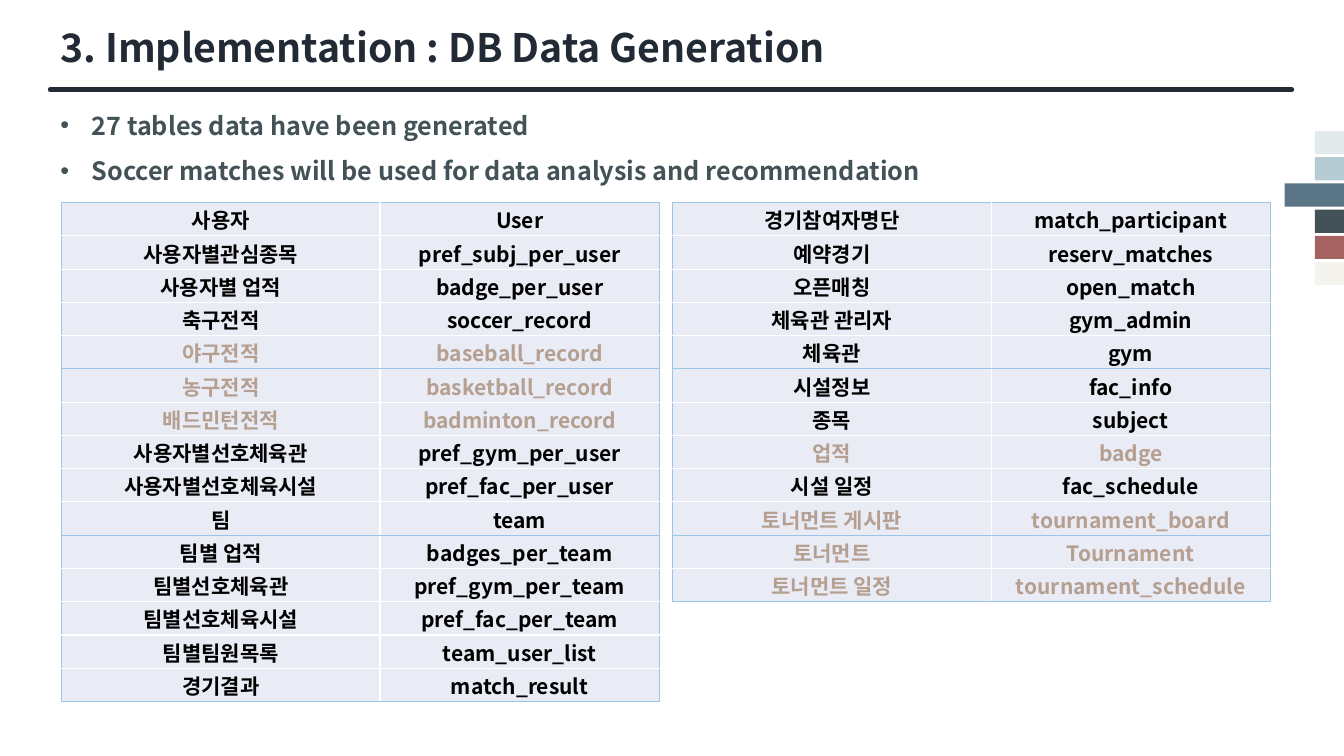
from dataclasses import dataclass

from lxml import etree
from pptx import Presentation
from pptx.dml.color import RGBColor
from pptx.enum.shapes import MSO_CONNECTOR, MSO_SHAPE
from pptx.enum.text import MSO_ANCHOR, MSO_AUTO_SIZE, PP_ALIGN
from pptx.oxml.ns import qn
from pptx.util import Inches, Pt

LEFT, CENTER = PP_ALIGN.LEFT, PP_ALIGN.CENTER
MIDDLE = MSO_ANCHOR.MIDDLE
RECTANGLE = MSO_SHAPE.RECTANGLE
STRAIGHT = MSO_CONNECTOR.STRAIGHT
GROW, FIXED = MSO_AUTO_SIZE.SHAPE_TO_FIT_TEXT, MSO_AUTO_SIZE.NONE

# Content
TITLE = "3. Implementation : DB Data Generation"
BULLETS = [
    "27 tables data have been generated",
    "Soccer matches will be used for data analysis and recommendation",
]
LEFT_ROWS = [
    ("사용자", "User"),
    ("사용자별관심종목", "pref_subj_per_user"),
    ("사용자별 업적", "badge_per_user"),
    ("축구전적", "soccer_record"),
    ("야구전적", "baseball_record"),
    ("농구전적", "basketball_record"),
    ("배드민턴전적", "badminton_record"),
    ("사용자별선호체육관", "pref_gym_per_user"),
    ("사용자별선호체육시설", "pref_fac_per_user"),
    ("팀", "team"),
    ("팀별 업적", "badges_per_team"),
    ("팀별선호체육관", "pref_gym_per_team"),
    ("팀별선호체육시설", "pref_fac_per_team"),
    ("팀별팀원목록", "team_user_list"),
    ("경기결과", "match_result"),
]
RIGHT_ROWS = [
    ("경기참여자명단", "match_participant"),
    ("예약경기", "reserv_matches"),
    ("오픈매칭", "open_match"),
    ("체육관 관리자", "gym_admin"),
    ("체육관", "gym"),
    ("시설정보", "fac_info"),
    ("종목", "subject"),
    ("업적", "badge"),
    ("시설 일정", "fac_schedule"),
    ("토너먼트 게시판", "tournament_board"),
    ("토너먼트", "Tournament"),
    ("토너먼트 일정", "tournament_schedule"),
]
UNUSED_TABLES = {
    "baseball_record", "basketball_record", "badminton_record", "badge",
    "tournament_board", "Tournament", "tournament_schedule",
}
SWATCHES = ["E3EAEB", "B6CCD4", "5A7585", "435256", "A46360", "F5F3EE"]
CURRENT_SWATCH = 2


@dataclass(frozen=True)
class Theme:
    font: str = "Noto Sans CJK KR"
    title: str = "222A35"
    bullet: str = "435256"
    used: str = "000000"
    unused: str = "B59F90"
    cell: str = "E9EBF5"
    frame: str = "9DC3E6"
    grid: str = "FFFFFF"
    title_size: float = 28
    bullet_size: float = 18
    cell_size: float = 15
    rule_width: float = 3.75
    border_width: float = 1


THEME = Theme()

# Layout, in inches
SLIDE_WIDTH, SLIDE_HEIGHT = 13.33, 7.5
TABLE_LEFTS, TABLE_TOP = (0.61, 6.67), 2.01
COLUMN_WIDTHS, ROW_HEIGHT = (3.16, 2.77), 0.33
ROWS_PER_BLOCK = 5
SWATCH_TOP, SWATCH_PITCH, SWATCH_HEIGHT = 1.3, 0.26, 0.23
SWATCH_WIDTH, CURRENT_WIDTH = 0.29, 0.59
BULLET_INDENT = 0.31


def style_paragraph(paragraph, size, color, alignment=LEFT):
    paragraph.alignment = alignment
    font = paragraph.font
    font.name, font.size, font.bold = THEME.font, Pt(size), True
    font.color.rgb = RGBColor.from_string(color)
    defaults = paragraph._p.pPr.find(qn("a:defRPr"))
    etree.SubElement(defaults, qn("a:ea"), typeface=THEME.font)


def add_bullet(paragraph):
    properties = paragraph._p.get_or_add_pPr()
    properties.set("marL", str(Inches(BULLET_INDENT)))
    properties.set("indent", str(-Inches(BULLET_INDENT)))
    bullet_font = etree.Element(qn("a:buFont"), typeface="Arial")
    bullet = etree.Element(qn("a:buChar"), char="•")
    defaults = properties.find(qn("a:defRPr"))
    defaults.addprevious(bullet_font)
    defaults.addprevious(bullet)


def set_borders(cell, colors):
    properties = cell._tc.get_or_add_tcPr()
    for side, color in zip("LRTB", colors):
        line = etree.SubElement(properties, qn(f"a:ln{side}"),
                                w=str(Pt(THEME.border_width)))
        fill = etree.SubElement(line, qn("a:solidFill"))
        etree.SubElement(fill, qn("a:srgbClr"), val=color)


def add_name_table(slide, left, rows):
    frame = slide.shapes.add_table(
        len(rows), len(COLUMN_WIDTHS), Inches(left), Inches(TABLE_TOP),
        Inches(sum(COLUMN_WIDTHS)), Inches(ROW_HEIGHT * len(rows)))
    table = frame.table
    table.first_row = table.horz_banding = False
    for column, width in zip(table.columns, COLUMN_WIDTHS):
        column.width = Inches(width)
    for row_index, names in enumerate(rows):
        table.rows[row_index].height = Inches(ROW_HEIGHT)
        color = THEME.unused if names[1] in UNUSED_TABLES else THEME.used
        # A framed block spans five rows
        starts = row_index % ROWS_PER_BLOCK == 0
        ends = ((row_index + 1) % ROWS_PER_BLOCK == 0
                or row_index == len(rows) - 1)
        for column_index, name in enumerate(names):
            cell = table.cell(row_index, column_index)
            framed = (column_index == 0, column_index == 1, starts, ends)
            set_borders(cell, [THEME.frame if edge else THEME.grid
                               for edge in framed])
            cell.fill.solid()
            cell.fill.fore_color.rgb = RGBColor.from_string(THEME.cell)
            cell.vertical_anchor = MIDDLE
            cell.margin_left = cell.margin_right = Inches(0.01)
            cell.margin_top, cell.margin_bottom = Inches(0.01), 0
            cell.text = name
            style_paragraph(cell.text_frame.paragraphs[0],
                            THEME.cell_size, color, CENTER)


def main():
    presentation = Presentation()
    presentation.slide_width = Inches(SLIDE_WIDTH)
    presentation.slide_height = Inches(SLIDE_HEIGHT)
    slide = presentation.slides.add_slide(presentation.slide_layouts[5])

    # Title
    title = slide.shapes.title
    title.left, title.top = Inches(0.5), Inches(0.18)
    title.width, title.height = Inches(11.88), Inches(0.57)
    title.text_frame.text = TITLE
    title.text_frame.auto_size = FIXED
    title.text_frame.vertical_anchor = MIDDLE
    style_paragraph(title.text_frame.paragraphs[0],
                    THEME.title_size, THEME.title)

    # Rule under the title
    rule = slide.shapes.add_connector(
        STRAIGHT, Inches(0.5), Inches(0.89), Inches(12.81), Inches(0.89))
    rule.line.color.rgb = RGBColor.from_string(THEME.title)
    rule.line.width = Pt(THEME.rule_width)
    rule.line._get_or_add_ln().set("cap", "rnd")
    etree.SubElement(rule._element.spPr, qn("a:effectLst"))

    # Colour swatches on the right edge
    for index, color in enumerate(SWATCHES):
        width = CURRENT_WIDTH if index == CURRENT_SWATCH else SWATCH_WIDTH
        swatch = slide.shapes.add_shape(
            RECTANGLE, Inches(SLIDE_WIDTH - width),
            Inches(SWATCH_TOP + index * SWATCH_PITCH),
            Inches(width), Inches(SWATCH_HEIGHT))
        swatch.shadow.inherit = False
        swatch.fill.solid()
        swatch.fill.fore_color.rgb = RGBColor.from_string(color)
        swatch.line.fill.background()

    # Table names
    for left, rows in zip(TABLE_LEFTS, (LEFT_ROWS, RIGHT_ROWS)):
        add_name_table(slide, left, rows)

    # Bullets
    box = slide.shapes.add_textbox(
        Inches(0.5), Inches(0.89), Inches(12.31), Inches(0.95))
    box.text_frame.word_wrap = True
    box.text_frame.auto_size = GROW
    box.text_frame.text = "\n".join(BULLETS)
    for paragraph in box.text_frame.paragraphs:
        style_paragraph(paragraph, THEME.bullet_size, THEME.bullet)
        paragraph.line_spacing = 1.5
        add_bullet(paragraph)

    presentation.save("out.pptx")


if __name__ == "__main__":
    main()
